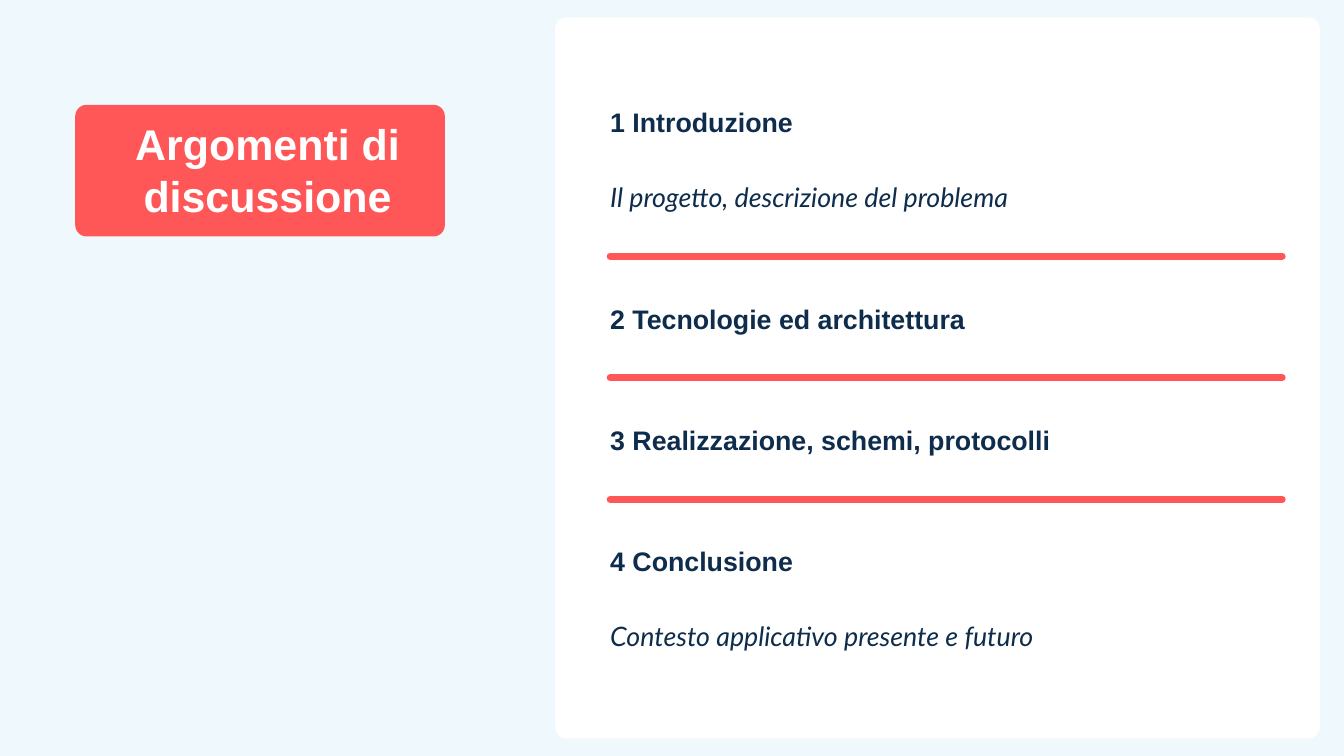
from dataclasses import dataclass

from lxml.etree import SubElement
from pptx import Presentation
from pptx.dml.color import RGBColor
from pptx.enum.shapes import MSO_CONNECTOR, MSO_SHAPE
from pptx.enum.text import PP_ALIGN
from pptx.oxml.ns import qn
from pptx.slide import Slide
from pptx.text.text import TextFrame
from pptx.util import Inches, Pt

SKY = RGBColor(0xEF, 0xF9, 0xFD)
WHITE = RGBColor(0xFF, 0xFF, 0xFF)
CORAL = RGBColor(0xFF, 0x57, 0x57)
NAVY = RGBColor(0x0E, 0x2C, 0x4B)

TOPIC_LEFT = 9.08
TOPIC_SIZE = 28.7
TOPIC_LEADING = 40.2
RULE_LENGTH = 10
RULE_TOP = 3.81
RULE_STEP = 1.81
CORNER_RADIUS = 0.17


@dataclass(frozen=True)
class Area:
    left: float
    top: float
    width: float
    height: float


@dataclass(frozen=True)
class Topic:
    area: Area
    heading: str
    detail: str = ""


TOPICS = (
    Topic(Area(TOPIC_LEFT, 1.5, 8.98, 1.64), "1 Introduzione",
          "Il progetto, descrizione del problema"),
    Topic(Area(TOPIC_LEFT, 4.42, 8.98, 0.53), "2 Tecnologie ed architettura"),
    Topic(Area(TOPIC_LEFT, 6.22, 8.98, 0.53), "3 Realizzazione, schemi, protocolli"),
    Topic(Area(TOPIC_LEFT, 8.03, 9.99, 1.64), "4 Conclusione",
          "Contesto applicativo presente e futuro"),
)


def add_panel(page: Slide, area: Area, color: RGBColor) -> None:
    panel = page.shapes.add_shape(
        MSO_SHAPE.ROUNDED_RECTANGLE,
        Inches(area.left), Inches(area.top), Inches(area.width), Inches(area.height))
    panel.adjustments[0] = CORNER_RADIUS / min(area.width, area.height)
    panel.shadow.inherit = False
    panel.fill.solid()
    panel.fill.fore_color.rgb = color
    panel.line.fill.background()


def add_rule(page: Slide, top: float) -> None:
    rule = page.shapes.add_connector(
        MSO_CONNECTOR.STRAIGHT, Inches(TOPIC_LEFT), Inches(top),
        Inches(TOPIC_LEFT + RULE_LENGTH), Inches(top))
    rule.line.color.rgb = CORAL
    rule.line.width = Pt(7.5)
    rule.line._get_or_add_ln().set("cap", "rnd")
    SubElement(rule._element.spPr, qn("a:effectLst"))


def add_text_frame(page: Slide, area: Area) -> TextFrame:
    box = page.shapes.add_textbox(
        Inches(area.left), Inches(area.top), Inches(area.width), Inches(area.height))
    frame = box.text_frame
    frame.word_wrap = True
    frame.margin_left = frame.margin_top = frame.margin_right = frame.margin_bottom = 0
    return frame


def write(frame: TextFrame, text: str, *, size: float = TOPIC_SIZE,
          leading: float = TOPIC_LEADING, font: str = "Arial",
          color: RGBColor = NAVY, bold: bool = True, italic: bool = False,
          align: PP_ALIGN = PP_ALIGN.LEFT, space_before: float = 0) -> None:
    para = frame.add_paragraph() if frame.text else frame.paragraphs[0]
    para.alignment = align
    para.line_spacing = Pt(leading)
    para.space_before = Pt(space_before)
    span = para.add_run()
    span.text = text
    span.font.name = font
    span.font.size = Pt(size)
    span.font.bold = bold
    span.font.italic = italic
    span.font.color.rgb = color


def add_topic(page: Slide, topic: Topic) -> None:
    frame = add_text_frame(page, topic.area)
    write(frame, topic.heading)
    if topic.detail:
        write(frame, topic.detail, font="Lato", bold=False, italic=True,
              space_before=TOPIC_LEADING)


def main() -> None:
    deck = Presentation()
    deck.slide_width = Inches(20)
    deck.slide_height = Inches(11.25)
    page = deck.slides.add_slide(deck.slide_layouts[6])
    page.background.fill.solid()
    page.background.fill.fore_color.rgb = SKY

    add_panel(page, Area(8.26, 0.26, 11.38, 10.73), WHITE)
    for index in range(len(TOPICS) - 1):
        add_rule(page, RULE_TOP + index * RULE_STEP)
    for topic in TOPICS:
        add_topic(page, topic)

    add_panel(page, Area(1.12, 1.56, 5.5, 1.96), CORAL)
    title = add_text_frame(page, Area(1.69, 1.75, 4.58, 1.52))
    write(title, "Argomenti di discussione", size=46, leading=55.2,
          color=WHITE, align=PP_ALIGN.CENTER)

    deck.save("out.pptx")


if __name__ == "__main__":
    main()
